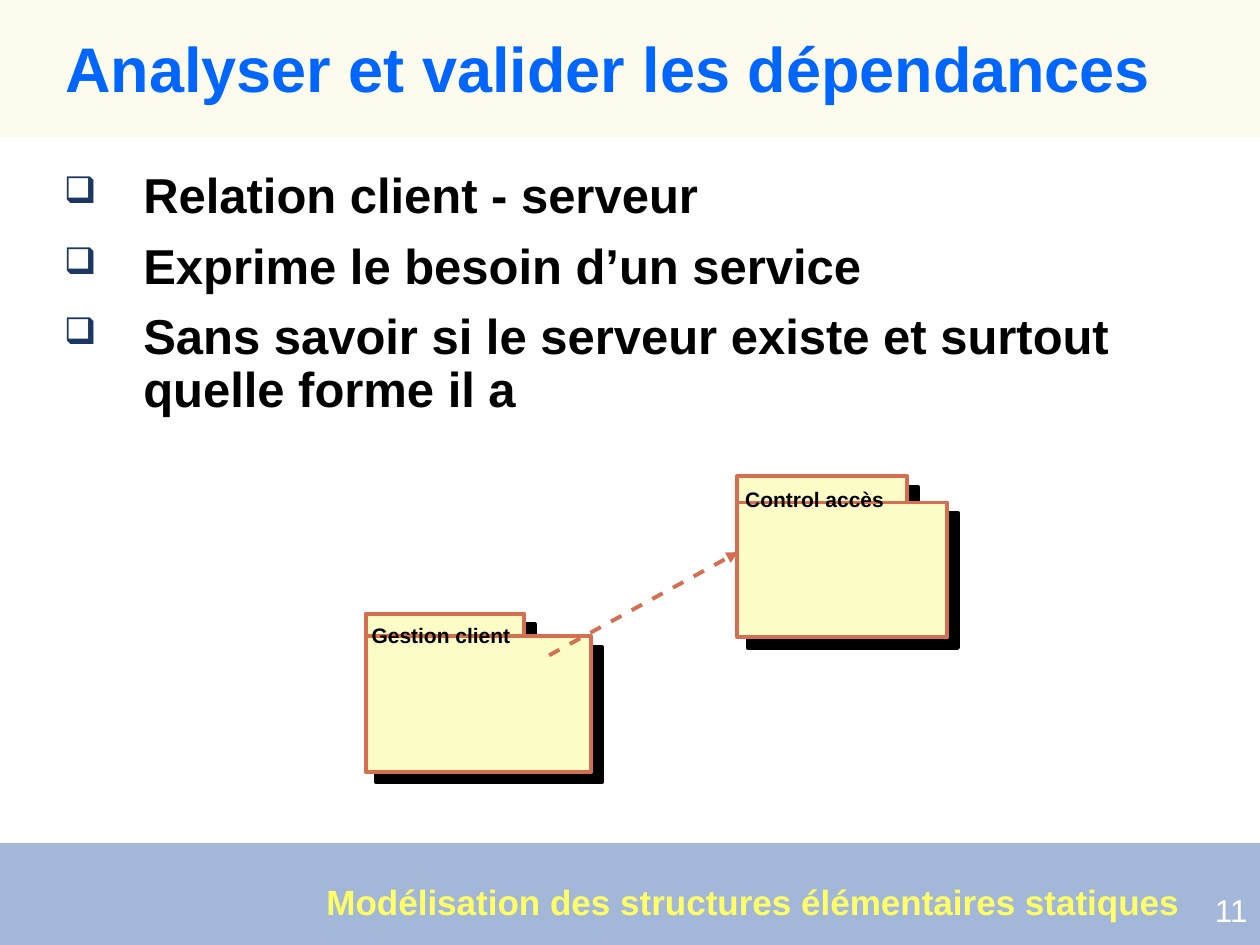
from lxml.etree import SubElement
from pptx import Presentation
from pptx.dml.color import RGBColor
from pptx.enum.shapes import MSO_CONNECTOR, MSO_SHAPE
from pptx.enum.text import PP_ALIGN
from pptx.oxml.ns import qn
from pptx.util import Cm, Pt

WIDE, HIGH = 25.4, 19.05
CORAL = "D46F54"


def color(text):
    return RGBColor.from_string(text)


def node(top, tag, **attrs):
    return SubElement(top, qn(tag), attrs)


def block(slide, box, fill):
    shape = slide.shapes.add_shape(MSO_SHAPE.RECTANGLE, *map(Cm, box))
    shape.shadow.inherit = False
    shape.fill.solid()
    shape.fill.fore_color.rgb = color(fill)
    shape.line.fill.background()
    return shape


def band(slide, box, fill):
    shape = block(slide, box, fill)
    tint = shape.fill._xPr.find(".//" + qn("a:srgbClr"))
    node(tint, "a:alpha", val="45000")


def write(slide, box, lines, size, fill, bold=True, align=PP_ALIGN.LEFT,
          wrap=True, inset=True, before=0, pitch=None):
    frame = slide.shapes.add_textbox(*map(Cm, box)).text_frame
    frame.word_wrap = wrap
    if not inset:
        frame.margin_left = frame.margin_right = 0
        frame.margin_top = frame.margin_bottom = 0
    for i, line in enumerate(lines):
        para = frame.add_paragraph() if i else frame.paragraphs[0]
        para.alignment = align
        para.space_before = Pt(before)
        if pitch:
            para.line_spacing = pitch
        run = para.add_run()
        run.text = line
        run.font.name = "Arial"
        run.font.size = Pt(size)
        run.font.bold = bold
        run.font.color.rgb = color(fill)
    return frame


def header(slide, box, title):
    left, top, width, height = box
    band(slide, box, "FAF8D8")
    write(slide, (left + 1.07, top + 0.64, 23.8, 1.63), [title],
          36, "0066FF", pitch=0.9)


def bullets(slide, box, lines):
    frame = write(slide, box, lines, 28, "000000", before=10, pitch=0.9)
    for para in frame.paragraphs:
        props = para._p.get_or_add_pPr()
        props.set("marL", str(Cm(1.6)))
        props.set("indent", str(-Cm(1.6)))
        node(node(props, "a:buClr"), "a:srgbClr", val="1C3862")
        node(props, "a:buSzPct", val="75000")
        node(props, "a:buChar", char="❑")


def folder(slide, box, tab, drop, label, text):
    left, top, width, height = box
    parts = [(left, top, *tab), (left, top + drop, width, height - drop)]
    for part in parts:
        shape = block(slide, part, "FCFDC6")
        shape.line.color.rgb = color(CORAL)
        shape.line.width = Pt(2.25)
        effect = shape._element.spPr.find(qn("a:effectLst"))
        shade = node(effect, "a:outerShdw", dist=str(Pt(8.5)),
                     dir="2700000", algn="ctr", rotWithShape="0")
        node(shade, "a:srgbClr", val="000000")
    dx, dy, span = label
    write(slide, (left + dx, top + dy, span, 0.76), [text], 12, "000000",
          align=PP_ALIGN.RIGHT, wrap=False, before=7)


def arrow(slide, start, end):
    link = slide.shapes.add_connector(
        MSO_CONNECTOR.STRAIGHT, *map(Cm, start + end))
    link.line.color.rgb = color(CORAL)
    link.line.width = Pt(2.25)
    line = link.line._get_or_add_ln()
    node(node(line, "a:custDash"), "a:ds", d="300000", sp="300000")
    node(line, "a:tailEnd", type="triangle")
    node(link._element.spPr, "a:effectLst")


def diagram(slide, box):
    left, top, width, height = box
    folder(slide, (left, top + 2.77, 4.55, 3.19), (3.2, 0.84), 0.46,
           (-0.18, 0.05, 3.35), "Gestion client")
    folder(slide, (left + width - 4.24, top, 4.24, 3.25), (3.43, 0.91), 0.53,
           (-0.1, 0.08, 3.43), "Control accès ")
    arrow(slide, (left + 3.7, top + 3.61), (left + 7.51, top + 1.53))


def footer(slide, box, text, number):
    left, top, width, height = box
    band(slide, box, "3363A9")
    write(slide, (left + width - 2.49, top + 0.84, 2.49, 1.02), [number],
          18, "FFFFFF", bold=False, align=PP_ALIGN.RIGHT, before=11)
    write(slide, (left + 6.58, top + 0.76, 17.22, 0.84), [text],
          20, "FFFF66", wrap=False, inset=False)


def main():
    deck = Presentation()
    deck.slide_width, deck.slide_height = Cm(WIDE), Cm(HIGH)
    slide = deck.slides.add_slide(deck.slide_layouts[6])
    header(slide, (0, 0, WIDE, 2.77), "Analyser et valider les dépendances")
    bullets(slide, (1.04, 3.33, 23.83, 5.23), [
        "Relation client - serveur",
        "Exprime le besoin d’un service",
        "Sans savoir si le serveur existe et surtout quelle forme il a",
    ])
    diagram(slide, (7.37, 9.6, 11.73, 5.96))
    footer(slide, (0, 16.99, WIDE, HIGH - 16.99),
           "Modélisation des structures élémentaires statiques", "11")
    deck.save("out.pptx")


if __name__ == "__main__":
    main()
